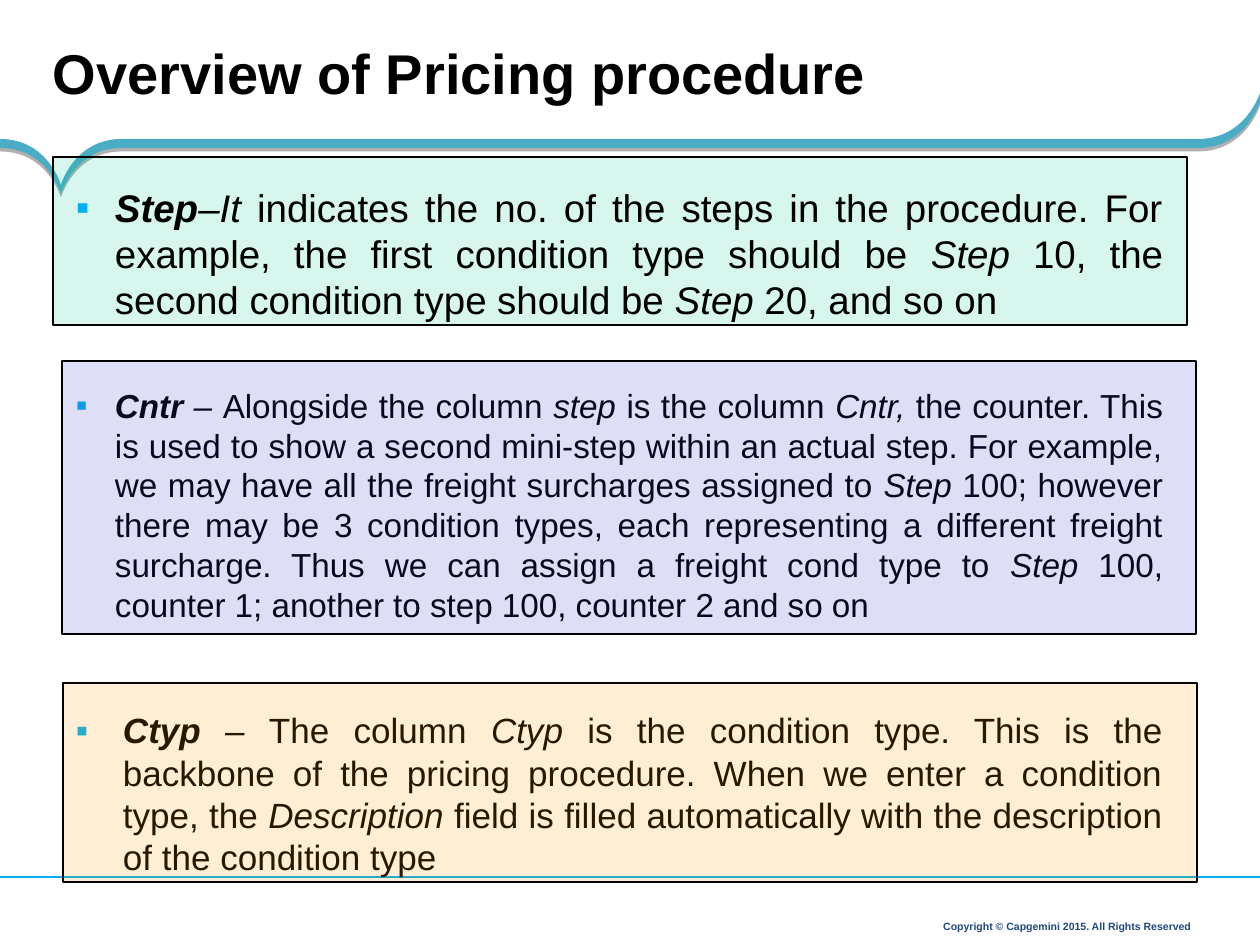
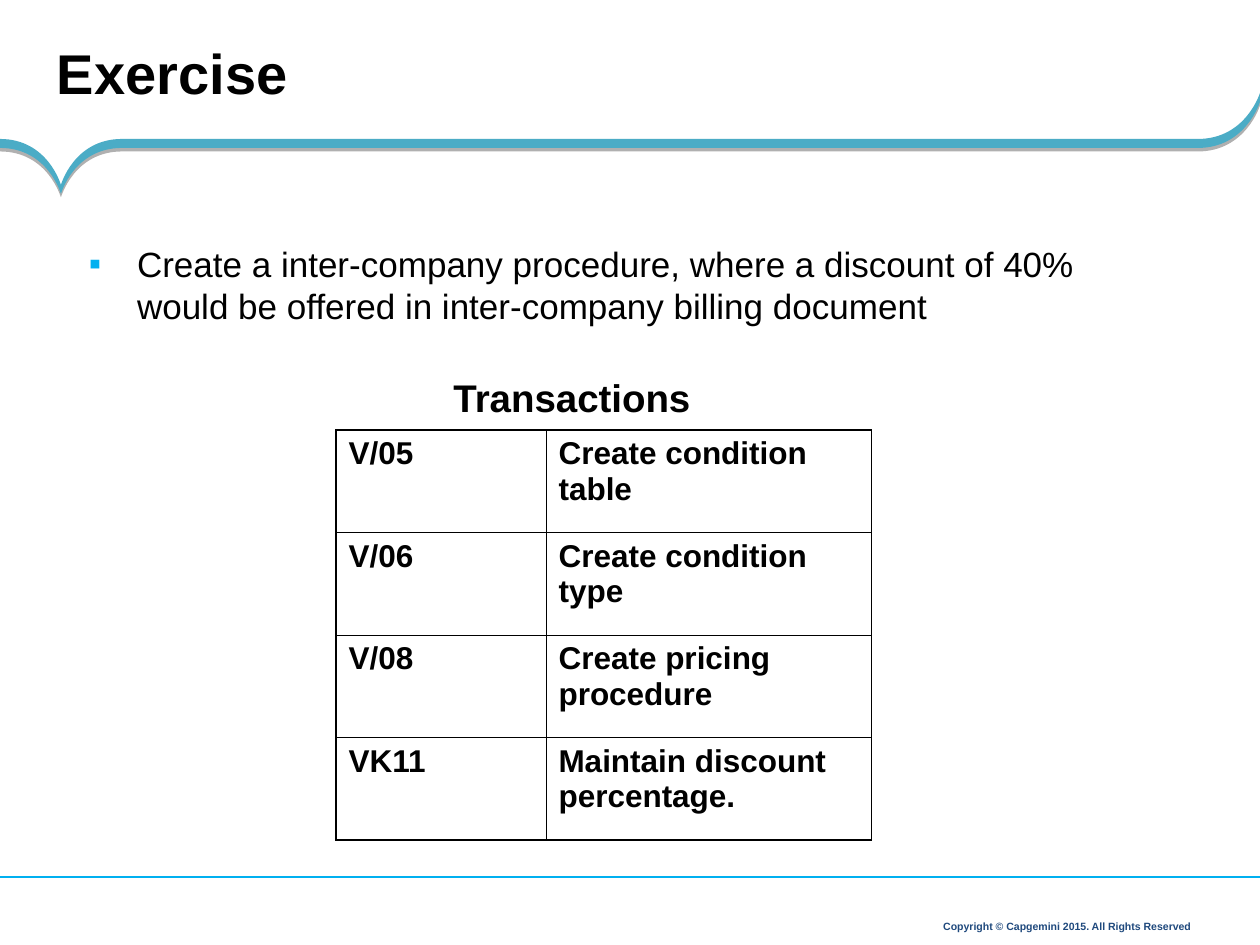
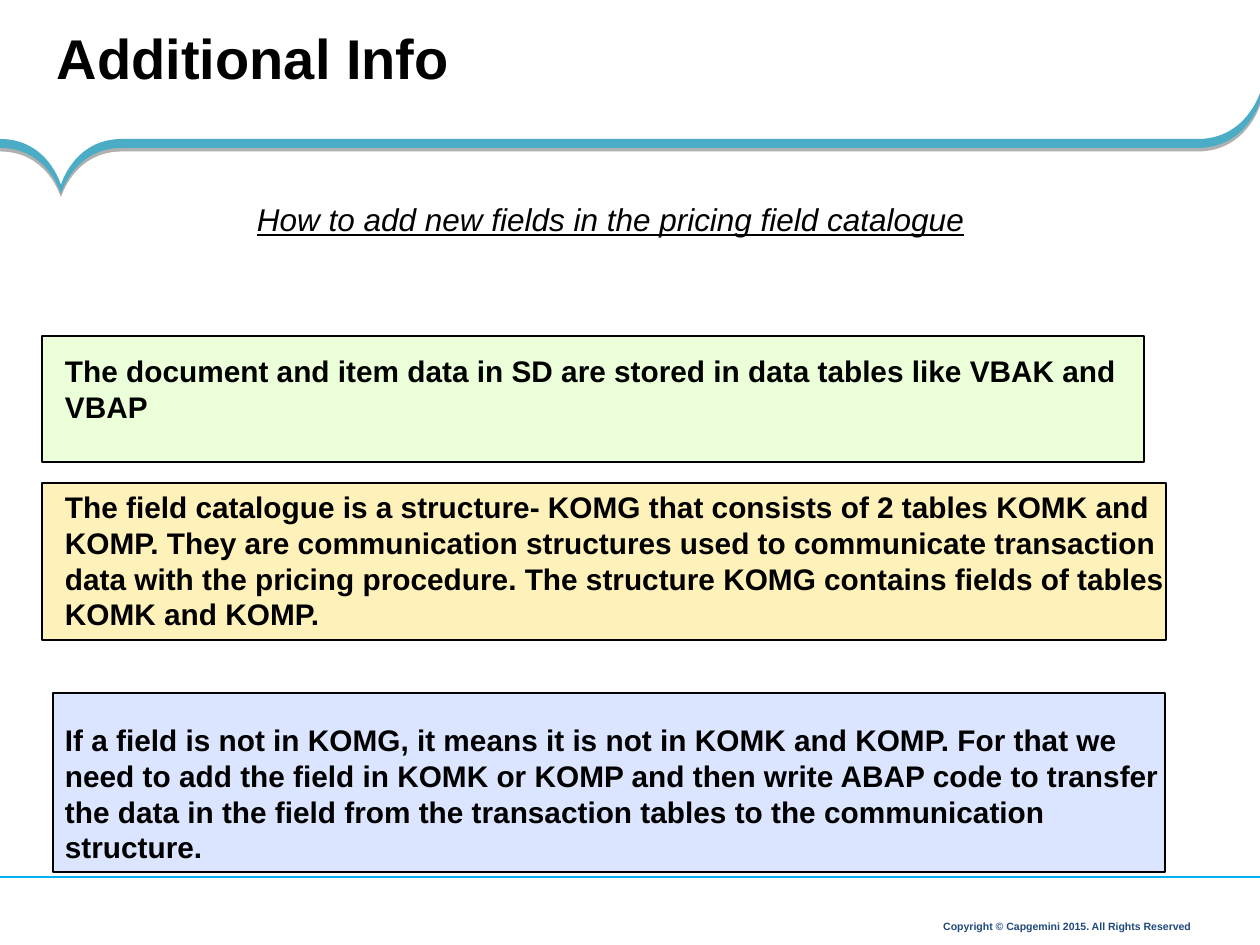
import pptx
import pptx.dml.color
import pptx.enum.shapes
import pptx.enum.text
import pptx.oxml
import pptx.oxml.ns
import pptx.util

RGB = pptx.dml.color.RGBColor
Pt = pptx.util.Pt
ALIGN = pptx.enum.text.PP_ALIGN
ANCHOR = pptx.enum.text.MSO_ANCHOR
qn = pptx.oxml.ns.qn

PX = 914400 / 126
FONT = "Arial"
BLACK = RGB(0x00, 0x00, 0x00)
BAND = RGB(0x4B, 0xAC, 0xC6)
SKY = RGB(0x00, 0xB0, 0xF0)
NAVY = RGB(0x1F, 0x49, 0x7D)
TEAL = RGB(0x00, 0xCC, 0x99)
INDIGO = RGB(0x33, 0x33, 0xCC)
ORANGE = RGB(0xFF, 0x99, 0x00)
LIME = RGB(0xCC, 0xFF, 0x99)
AMBER = RGB(0xFF, 0xCC, 0x00)
BLUE = RGB(0x33, 0x66, 0xFF)


def px(*lengths):
    return [pptx.util.Emu(round(v * PX)) for v in lengths]


def apply(obj, values):
    for name, value in values.items():
        setattr(obj, name, value)


def add_xml(parent, xml, index=None):
    tag, rest = xml.split(" ", 1)
    node = pptx.oxml.parse_xml(f"{tag} {pptx.oxml.ns.nsdecls('a')} {rest}")
    parent.insert(len(parent) if index is None else index, node)


# Text
def place(shape, box, margins=(0, 0, 0, 0), anchor=ANCHOR.TOP):
    apply(shape, dict(zip(("left", "top", "width", "height"), px(*box))))
    sides = ("margin_left", "margin_top", "margin_right", "margin_bottom")
    tf = shape.text_frame
    apply(tf, dict(zip(sides, px(*margins))))
    apply(tf, {"word_wrap": True, "vertical_anchor": anchor,
               "auto_size": pptx.enum.text.MSO_AUTO_SIZE.NONE})
    return tf


def add_run(p, text, size, color=BLACK, **style):
    r = p.add_run()
    r.text = text
    apply(r.font, {"name": FONT, "size": Pt(size), **style})
    r.font.color.rgb = color


def format_paragraph(p, align=ALIGN.LEFT, spacing=1.0, indent=0):
    apply(p, {"alignment": align, "line_spacing": spacing, "space_before": Pt(0)})
    p_pr = p._p.get_or_add_pPr()
    p_pr.set("marL", str(px(indent)[0]))
    p_pr.set("indent", str(px(-indent)[0]))
    if indent:
        add_xml(p_pr, f'<a:buClr ><a:srgbClr val="{SKY}"/></a:buClr>')
        add_xml(p_pr, f'<a:buFont typeface="{FONT}"/>')
        add_xml(p_pr, '<a:buChar char="▪"/>')
    else:
        add_xml(p_pr, "<a:buNone />")
    return p


def add_text_box(s, box, **paragraph):
    shape = s.shapes.add_textbox(0, 0, 0, 0)
    tf = place(shape, box, (13, 6, 13, 6))
    return format_paragraph(tf.paragraphs[0], **paragraph)


def add_title(s, text, left, top):
    p = place(s.shapes.title, (left, top, 1203, 92)).paragraphs[0]
    add_run(format_paragraph(p), text, 32, bold=True)


def add_body(s, box, **paragraph):
    p = place(s.placeholders[1], box).paragraphs[0]
    return format_paragraph(p, **paragraph)


# Tinted rectangle
def add_panel(s, box, color, opacity):
    rect = s.shapes.add_shape(pptx.enum.shapes.MSO_SHAPE.RECTANGLE, *px(*box))
    rect.shadow.inherit = False
    rect.fill.solid()
    rect.fill.fore_color.rgb = color
    add_xml(rect.element.spPr.find(".//" + qn("a:srgbClr")),
            f'<a:alpha val="{opacity * 1000}"/>')
    rect.line.color.rgb = BLACK
    rect.line.width = Pt(1)


# Master frame: curved band, footer line and copyright
def add_band(s):
    top, upper, lower = 93, 139, 148
    peak, tip = (61, 185), (61, 194)
    corner, inner = (1260, top), (1260, 102)
    start = (1198, upper)
    # Each segment is an end point, or two control points and an end point
    segments = [
        [(122, upper)], [(74, upper), peak, peak], [peak, (48, upper), (0, upper)],
        [(0, lower)], [(48, lower), tip, tip], [tip, (74, lower), (122, lower)],
        [(1198, lower)], [(1246, lower), inner, inner],
        [corner], [corner, (1246, upper), start],
    ]
    builder = s.shapes.build_freeform(*px(*start))
    builder.add_line_segments([px(*points[-1]) for points in segments], close=True)
    band = builder.convert_to_shape()
    lines = list(band.element.spPr.iter(qn("a:lnTo")))
    for line, points in zip(lines, segments):
        if len(points) == 3:
            outline = line.getparent()
            offsets = [px(x, y - top) for x, y in points]
            curve = "".join(f'<a:pt x="{x}" y="{y}"/>' for x, y in offsets)
            add_xml(outline, f"<a:cubicBezTo >{curve}</a:cubicBezTo>", outline.index(line))
            outline.remove(line)
    band.fill.solid()
    band.fill.fore_color.rgb = BAND
    band.line.fill.background()
    add_xml(band.element.spPr,
            '<a:effectLst ><a:outerShdw dist="25400" dir="5400000" rotWithShape="0">'
            f'<a:srgbClr val="{BLACK}"><a:alpha val="31000"/></a:srgbClr>'
            "</a:outerShdw></a:effectLst>")
    return band


def add_footer(s):
    rule = s.shapes.add_connector(pptx.enum.shapes.MSO_CONNECTOR.STRAIGHT,
                                  *px(1260, 877, 0, 877))
    rule.line.color.rgb = SKY
    rule.line.width = Pt(0.75)
    add_xml(rule.element.spPr, "<a:effectLst />")
    credit = s.shapes.add_textbox(0, 0, 0, 0)
    tf = place(credit, (857, 913, 339, 25), (5, 5, 5, 5), ANCHOR.BOTTOM)
    p = format_paragraph(tf.paragraphs[0], align=ALIGN.RIGHT, spacing=0.9)
    add_run(p, "Copyright © Capgemini 2015. All Rights Reserved", 6, NAVY, bold=True)
    return rule, credit


def move_frame_to_master(prs, s):
    tree = prs.slide_master.shapes.element
    for index, shape in enumerate((add_band(s), *add_footer(s)), start=2):
        tree.insert(index, shape.element)


# Slide 1: column definitions; *stars* mark italic words
def add_definition(s, box, offset, color, size, indent, term, text, tint_over_text):
    left, top, width, height = box
    if not tint_over_text:
        add_panel(s, box, color, 16)
    p = add_text_box(s, (left + offset[0], top + offset[1], 1113, height - offset[1]),
                     align=ALIGN.JUSTIFY, indent=indent)
    add_run(p, term, size, bold=True, italic=True)
    for i, part in enumerate(text.split("*")):
        if part:
            add_run(p, part, size, bold=False, italic=i % 2 == 1)
    if tint_over_text:
        add_panel(s, box, color, 16)


def build_overview(s):
    add_title(s, "Overview of Pricing procedure", 53, 39)
    add_definition(
        s, (53, 157, 1134, 168), (10, 21), TEAL, 22, 39, "Step",
        "*–It* indicates the no. of the steps in the procedure. For example, the first "
        "condition type should be *Step *10, the second condition type should be "
        "*Step *20, and so on", False)
    add_definition(
        s, (62, 361, 1134, 273), (1, 18), INDIGO, 19, 39, "Cntr",
        "* – *Alongside the column *step *is the column *Cntr, *the counter. This is used "
        "to show a second mini-step within an actual step. For example, we may have all "
        "the freight surcharges assigned to *Step* 100; however there may be 3 condition "
        "types, each representing a different freight surcharge. Thus we can assign a "
        "freight cond type to *Step* 100, counter 1; another to step 100, counter 2 and "
        "so on", True)
    add_definition(
        s, (63, 683, 1134, 199), (0, 20), ORANGE, 20, 47, "Ctyp",
        "* – *The column *Ctyp *is the condition type. This is the backbone of the pricing "
        "procedure. When we enter a condition type, the *Description *field is filled "
        "automatically with the description of the condition type", True)


# Slide 2: exercise and transaction table
def set_borders(cell, widths):
    tc_pr = cell._tc.get_or_add_tcPr()
    for index, (side, width) in enumerate(zip("LRTB", widths)):
        add_xml(tc_pr, f'<a:ln{side} w="{Pt(width)}"><a:solidFill>'
                f'<a:srgbClr val="{BLACK}"/></a:solidFill></a:ln{side}>', index)


def add_transactions(s, box, rows):
    left, top, width, height = box
    p = add_text_box(s, (left + 42, top, 388, 59), align=ALIGN.CENTER)
    add_run(p, "Transactions", 22, bold=True)
    table = s.shapes.add_table(len(rows), 2, *px(left, top + 62, width, height - 62)).table
    apply(table, {"first_row": False, "horz_banding": False})
    for column, column_width in zip(table.columns, px(210, width - 210)):
        column.width = column_width
    thin, thick = 0.45, 1.08
    last = len(rows) - 1
    for i, row in enumerate(rows):
        for j, text in enumerate(row):
            cell = table.cell(i, j)
            set_borders(cell, (thin if j else thick, thin,
                               thin if i else thick, thick if i == last else thin))
            cell.fill.background()
            add_run(cell.text_frame.paragraphs[0], text, 18, bold=True)


def build_exercise(s):
    add_title(s, "Exercise", 57, 39)
    p = add_body(s, (89, 242, 1075, 548), indent=48)
    add_run(p, "Create a inter-company procedure, where a discount of 40% would be offered "
            "in inter-company billing document", 20)
    add_transactions(s, (336, 368, 535, 472), [
        ("V/05", "Create condition table"),
        ("V/06", "Create condition type"),
        ("V/08", "Create pricing procedure"),
        ("VK11", "Maintain discount percentage."),
    ])


# Slide 3: notes on the field catalogue
def add_note(s, box, offset, color, opacity, text):
    left, top, width, height = box
    add_panel(s, box, color, opacity)
    p = add_text_box(s, (left + offset[0], top + offset[1], 1144, height - offset[1]))
    add_run(p, text, 17, bold=True)


def build_additional_info(s):
    add_title(s, "Additional Info", 57, 23)
    p = add_body(s, (73, 200, 1075, 506), align=ALIGN.CENTER)
    add_run(p, "How to add new fields in the pricing field catalogue", 18,
            italic=True, underline=True)
    add_note(s, (42, 336, 1102, 126), (10, 11), LIME, 38,
             "The document and item data in SD are stored in data tables like VBAK and VBAP")
    add_note(s, (42, 483, 1124, 157), (10, 0), AMBER, 27,
             "The field catalogue is a structure- KOMG that consists of 2 tables KOMK and "
             "KOMP. They are communication structures used to communicate transaction data "
             "with the pricing procedure. The structure KOMG contains fields of tables KOMK "
             "and KOMP.")
    add_note(s, (53, 693, 1112, 179), (-1, 23), BLUE, 17,
             "If a field is not in KOMG, it means it is not in KOMK and KOMP. For that we "
             "need to add the field in KOMK or KOMP and then write ABAP code to transfer "
             "the data in the field from the transaction tables to the communication "
             "structure.")


def main():
    prs = pptx.Presentation()
    prs.slide_width, prs.slide_height = px(1260, 945)
    with_body, title_only = prs.slide_layouts[1], prs.slide_layouts[5]
    overview = prs.slides.add_slide(title_only)
    move_frame_to_master(prs, overview)
    build_overview(overview)
    build_exercise(prs.slides.add_slide(with_body))
    build_additional_info(prs.slides.add_slide(with_body))
    prs.save("out.pptx")


if __name__ == "__main__":
    main()
